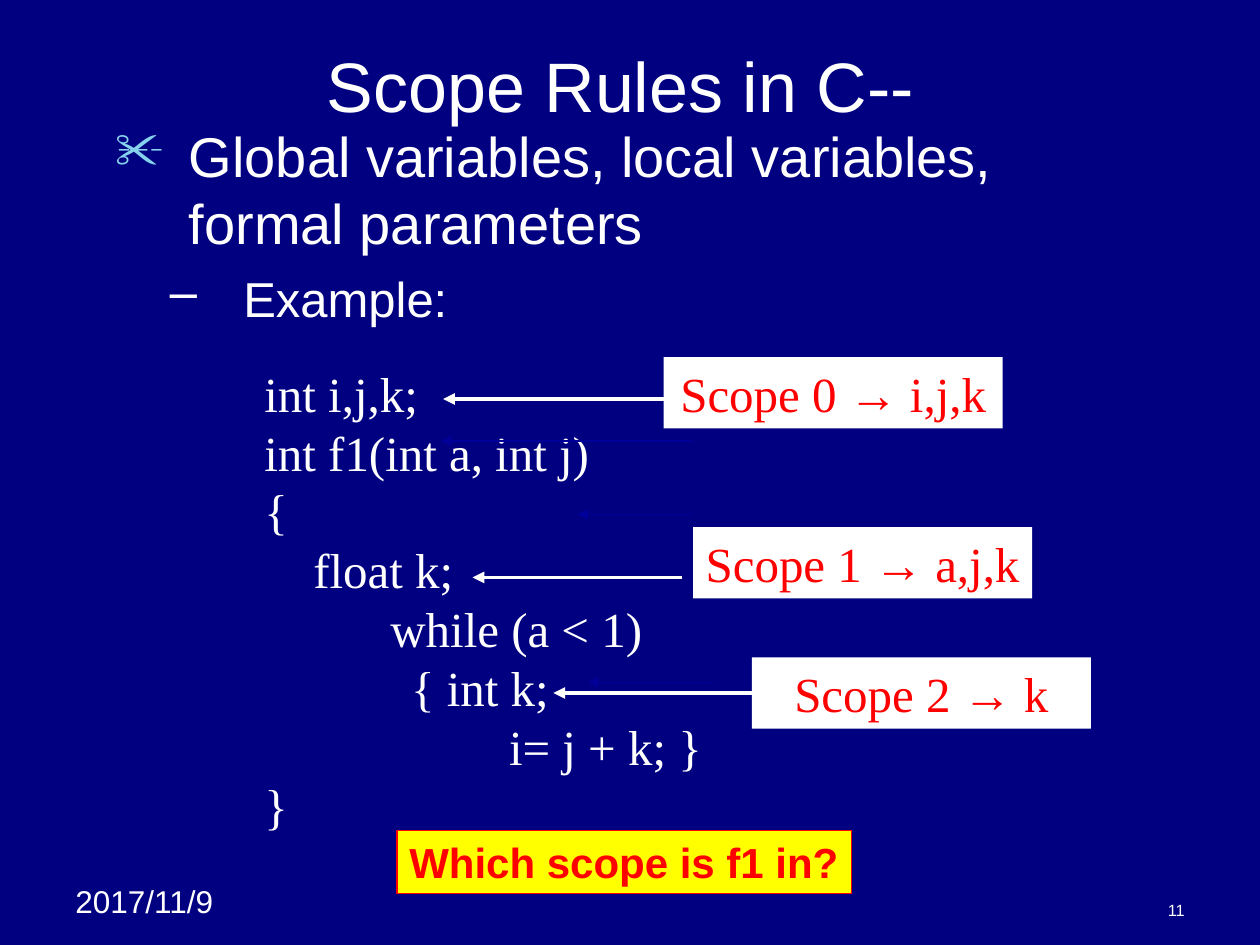
from pptx import Presentation
from pptx.dml.color import RGBColor as RGB
from pptx.enum.shapes import MSO_CONNECTOR as CONN, MSO_SHAPE as SHAPE
from pptx.enum.text import MSO_ANCHOR as ANCHOR, PP_ALIGN as ALIGN
from pptx.oxml.ns import qn
from pptx.util import Inches, Pt
from lxml.etree import SubElement

THEME = {
    "navy": "000080", "white": "FFFFFF", "red": "FF0000", "yellow": "FFFF00",
    "dim": "000099", "bullet": "86D1EC",
    "sans": "Arial", "serif": "Times New Roman",
    "title": 40, "body": 32, "code": 28, "question": 24, "date": 18, "number": 9.3,
}

prs = Presentation()
prs.slide_width, prs.slide_height = Inches(10), Inches(7.5)
CELL = prs.slide_width / 120  # grid of 120 columns by 90 rows
s = prs.slides.add_slide(prs.slide_layouts[6])
s.background.fill.solid()
s.background.fill.fore_color.rgb = RGB.from_string(THEME["navy"])


def add_text(box, lines, size, color="white", font="sans", bold=False, align=ALIGN.LEFT,
             anchor=ANCHOR.TOP, fill=None, line=None, wrap=True):
    """Place lines of text in a grid box; each line is a string or a list of (text, font) runs."""
    area = [round(n * CELL) for n in box]
    if fill:
        sp = s.shapes.add_shape(SHAPE.RECTANGLE, *area)
        sp.shadow.inherit = False
        sp.fill.solid()
        sp.fill.fore_color.rgb = RGB.from_string(THEME[fill])
        if line:
            sp.line.color.rgb = RGB.from_string(THEME[line])
            sp.line.width = Pt(0.75)
        else:
            sp.line.fill.background()
    else:
        sp = s.shapes.add_textbox(*area)
    tf = sp.text_frame
    tf.word_wrap, tf.vertical_anchor = wrap, anchor
    for i, runs in enumerate(lines):
        p = tf.add_paragraph() if i else tf.paragraphs[0]
        p.alignment = align
        for text, face in [(runs, font)] if isinstance(runs, str) else runs:
            r = p.add_run()
            r.text = text
            r.font.size, r.font.bold, r.font.name = Pt(size), bold, THEME[face]
            r.font.color.rgb = RGB.from_string(THEME[color])
    return tf


def add_arrow(x1, x2, y, color, width):
    """Draw a horizontal arrow that points at x2."""
    ln = s.shapes.add_connector(CONN.STRAIGHT, *(round(n * CELL) for n in (x1, y, x2, y)))
    ln.line.color.rgb = RGB.from_string(THEME[color])
    ln.line.width = Pt(width)
    SubElement(ln.line._get_or_add_ln(), qn("a:tailEnd"), type="triangle")
    SubElement(ln._element.spPr, qn("a:effectLst"))


# Footer and title
add_text((6, 83.4, 19, 4.8), ["2017/11/9"], THEME["date"])
add_text((86, 85, 28, 3.2), ["11"], THEME["number"], align=ALIGN.RIGHT, anchor=ANCHOR.BOTTOM)
add_text((9, 3, 102, 10), ["Scope Rules in C-- "], THEME["title"],
         align=ALIGN.CENTER, anchor=ANCHOR.MIDDLE)

# Bulleted outline
tf = add_text((9, 11, 102, 67),
              ["Global variables, local variables, formal parameters", "Example:"], THEME["body"])
bullets = [("✂", "bullet", 90, 7.8), ("–", "white", 100, 13)]
for level, (p, (char, color, percent, indent)) in enumerate(zip(tf.paragraphs, bullets)):
    p.level = level
    pPr = p._p.get_or_add_pPr()
    pPr.set("marL", str(round(indent * CELL)))
    pPr.set("indent", str(round(-7 * CELL)))
    SubElement(SubElement(pPr, qn("a:buClr")), qn("a:srgbClr"), val=THEME[color])
    SubElement(pPr, qn("a:buSzPct"), val=str(percent * 1000))
    SubElement(pPr, qn("a:buChar"), char=char)
example = tf.paragraphs[1]
example.space_before = Pt(7)
example.runs[0].font.size = Pt(THEME["code"])

# Code listing, with a tab stop every inch
code = ["int i,j,k;", "int f1(int a, int j)", "{", "    float k;", "\twhile (a < 1)",
        "            { int k;", "                    i= j + k; }", "}"]
tf = add_text((24, 34, 57, 46), code, THEME["code"], font="serif")
for p in tf.paragraphs:
    tabs = SubElement(p._p.get_or_add_pPr(), qn("a:tabLst"))
    for inch in range(1, 5):
        SubElement(tabs, qn("a:tab"), pos=str(Inches(inch)), algn="l")

# Scope labels, each with a faint arrow
scopes = [
    ("Scope 0 ", " i,j,k", 63.2, 34, (66, 42, 42)),
    ("Scope 1 ", " a,j,k", 66, 50.2, (66, 55, 49)),
    ("Scope 2 ", " k", 71.6, 62.6, (68, 56, 65)),
]
for name, members, x, y, faint in scopes:
    add_text((x, y, 32.3, 6.8), [[(name, "serif"), ("→", "sans"), (members, "serif")]],
             THEME["code"], color="red", align=ALIGN.CENTER, fill="white")
    add_arrow(*faint, "dim", 1)

# Bright arrows from the labels to the code
for x1, x2, y in [(63.2, 42.2, 38), (65, 45, 55), (71.6, 52.7, 66)]:
    add_arrow(x1, x2, y, "white", 2.25)

# Question
add_text((37.8, 79.1, 43.3, 6), ["Which scope is f1 in?"], THEME["question"], color="red",
         bold=True, fill="yellow", line="red", wrap=False)

prs.save("out.pptx")
